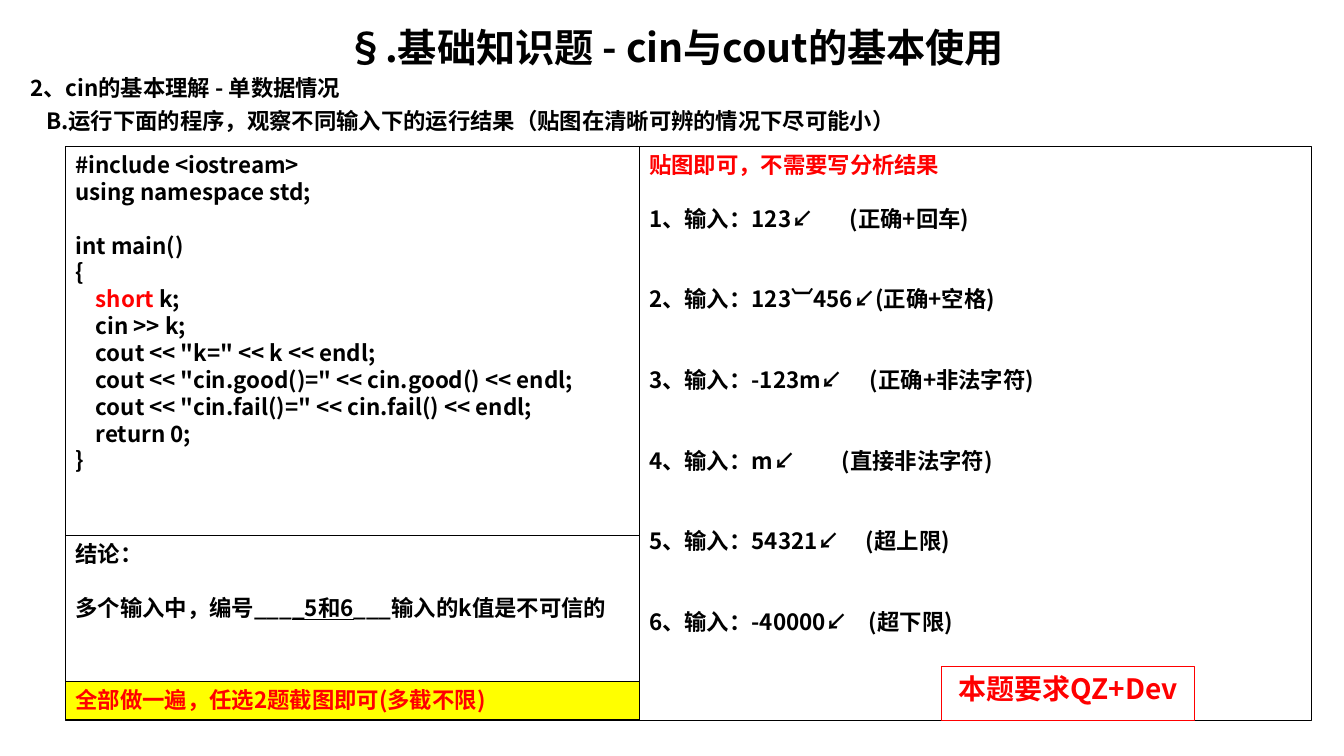
import pptx
import pptx.util
import pptx.dml.color
import pptx.enum.shapes
import pptx.enum.text
import pptx.oxml.ns
from lxml import etree

Inches = pptx.util.Inches
Pt = pptx.util.Pt
RGBColor = pptx.dml.color.RGBColor
PP_ALIGN = pptx.enum.text.PP_ALIGN
qn = pptx.oxml.ns.qn

BLACK = RGBColor(0, 0, 0)
RED = RGBColor(255, 0, 0)
YELLOW = RGBColor(255, 255, 0)
FONT = "Noto Sans CJK SC"


def write(tf, lines, size=16, color=BLACK, align=PP_ALIGN.LEFT):
    tf.word_wrap = True
    tf.auto_size = pptx.enum.text.MSO_AUTO_SIZE.NONE
    tf.vertical_anchor = pptx.enum.text.MSO_ANCHOR.TOP
    for i, (gap, *parts) in enumerate(lines):
        p = tf.paragraphs[0] if i == 0 else tf.add_paragraph()
        p.alignment = align
        p.line_spacing = Pt(size * 1.2)
        p.space_before = Pt(size * 1.2 * gap)
        for part in parts:
            r = p.add_run()
            r.text = part
            r.font.size = Pt(size)
            r.font.bold = True
            r.font.name = FONT
            r.font.color.rgb = color
            etree.SubElement(r.font._element, qn("a:ea"), typeface=FONT)


def add_box(left, top, width, height, line=BLACK, fill=None):
    sp = s.shapes.add_shape(pptx.enum.shapes.MSO_SHAPE.RECTANGLE, Inches(left),
                            Inches(top), Inches(width), Inches(height))
    sp.shadow.inherit = False
    sp.line.color.rgb = line
    sp.line.width = Pt(0.75)
    if fill is None:
        sp.fill.background()
    else:
        sp.fill.solid()
        sp.fill.fore_color.rgb = fill
    return sp.text_frame


prs = pptx.Presentation()
prs.slide_width = Inches(13.33)
prs.slide_height = Inches(7.5)
s = prs.slides.add_slide(prs.slide_layouts[5])

title = s.shapes.title
title.left, title.top = Inches(0.2), Inches(0.18)
title.width, title.height = Inches(12.99), Inches(0.56)
write(title.text_frame, [(0, "§.基础知识题 - cin与cout的基本使用")], 28, BLACK, PP_ALIGN.CENTER)

heading = s.shapes.add_textbox(Inches(0.2), Inches(0.69), Inches(12.99), Inches(0.7))
write(heading.text_frame, [
    (0, "2、cin的基本理解 - 单数据情况"),
    (0.2, "B.运行下面的程序，观察不同输入下的运行结果（贴图在清晰可辨的情况下尽可能小）"),
])
heading.text_frame.paragraphs[1]._p.get_or_add_pPr().set("marL", str(Inches(0.16)))

code = add_box(0.65, 1.45, 5.69, 5.7)
write(code, [
    (0, "#include <iostream>"),
    (0, "using namespace std;"),
    (1, "int main()"),
    (0, "{"),
    (0, "    ", "short ", "k;"),
    (0, "    cin >> k;"),
    (0, '    cout << "k=" << k << endl;'),
    (0, '    cout << "cin.good()=" << cin.good() << endl;'),
    (0, '    cout << "cin.fail()=" << cin.fail() << endl;'),
    (0, "    return 0;"),
    (0, "}"),
])
code.paragraphs[4].runs[1].font.color.rgb = RED

inputs = [
    ("123↙\t(正确+回车)", 1.99),
    ("123︺456↙(正确+空格)", None),
    ("-123m↙\t(正确+非法字符)", 2.19),
    ("m↙\t(直接非法字符)", 1.91),
    ("54321↙\t(超上限)", 2.15),
    ("-40000↙\t(超下限)", 2.18),
]
results = add_box(6.34, 1.45, 6.67, 5.7)
write(results, [(0, "贴图即可，不需要写分析结果")] + [
    (1 if n == 1 else 2, f"{n}、输入：{text}") for n, (text, tab) in enumerate(inputs, 1)
])
results.paragraphs[0].runs[0].font.color.rgb = RED
for p, (text, tab) in zip(results.paragraphs[1:], inputs):
    if tab:
        tabs = etree.SubElement(p._p.get_or_add_pPr(), qn("a:tabLst"))
        etree.SubElement(tabs, qn("a:tab"), pos=str(Inches(tab)), algn="l")

compilers = add_box(9.34, 6.61, 2.51, 0.54, RED)
write(compilers, [(0, "本题要求QZ+Dev")], 20, RED, PP_ALIGN.CENTER)

conclusion = add_box(0.65, 5.31, 5.69, 1.83)
write(conclusion, [(0, "结论："), (1, "多个输入中，编号___", "_5和6", "___输入的k值是不可信的")])
conclusion.paragraphs[1].runs[1].font.underline = True

notice = add_box(0.65, 6.76, 5.69, 0.38, fill=YELLOW)
write(notice, [(0, "全部做一遍，任选2题截图即可(多截不限)")], color=RED)

prs.save("out.pptx")
